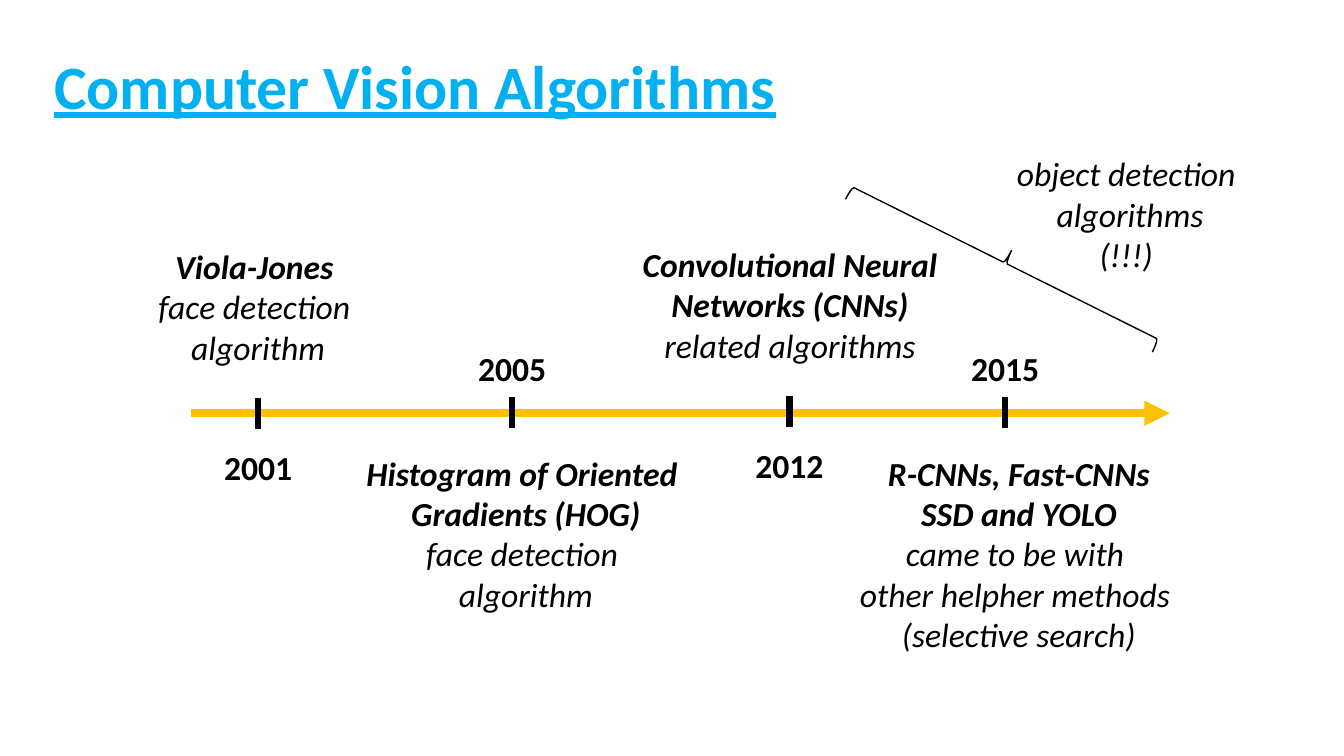
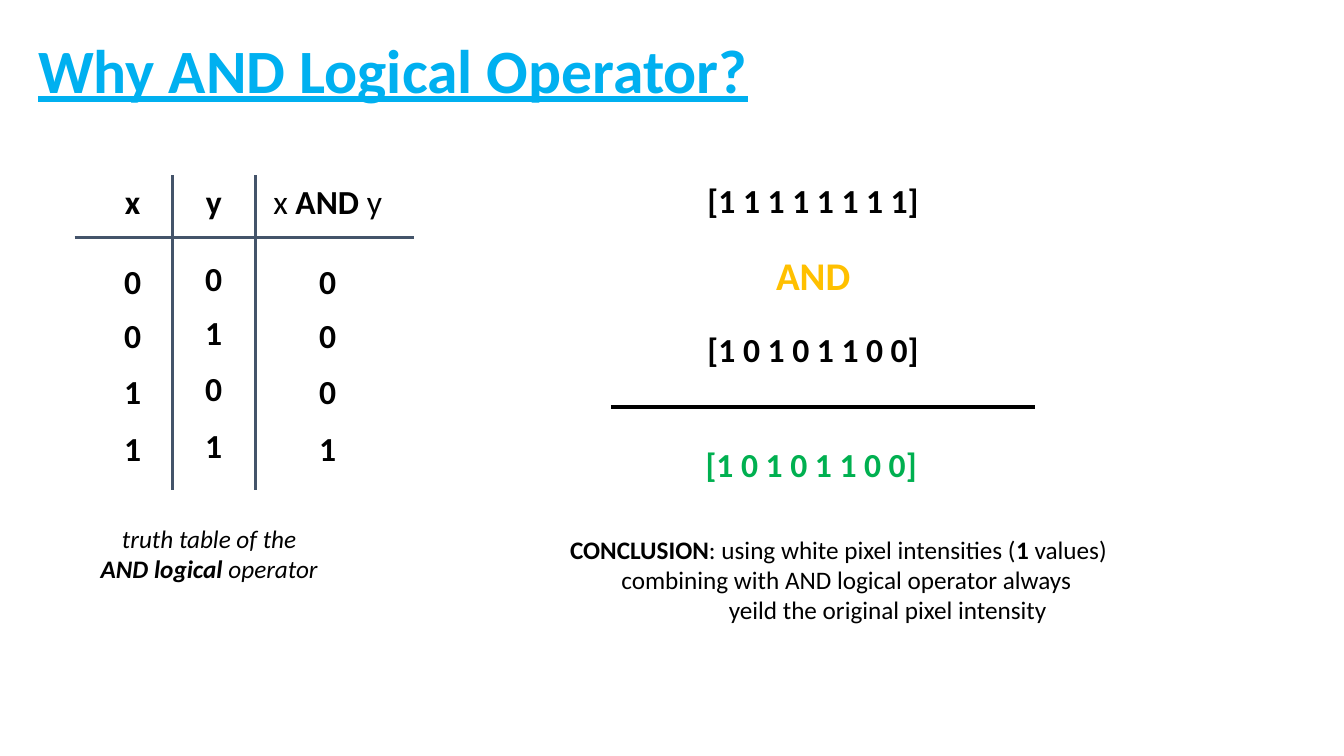
from collections.abc import Sequence
from dataclasses import dataclass, replace

from lxml.etree import SubElement
from pptx import Presentation
from pptx.dml.color import RGBColor
from pptx.enum.shapes import MSO_CONNECTOR, MSO_SHAPE
from pptx.enum.text import MSO_ANCHOR, MSO_AUTO_SIZE, PP_ALIGN
from pptx.oxml.ns import qn
from pptx.shapes.connector import Connector
from pptx.slide import Slide
from pptx.table import _Cell
from pptx.text.text import TextFrame, _Paragraph
from pptx.util import Emu, Pt

# Shared style
PX = 9144  # 100 px to the inch
FONT = "Calibri"
BLACK = RGBColor(0x00, 0x00, 0x00)
SKY = RGBColor(0x00, 0xB0, 0xF0)
AMBER = RGBColor(0xFF, 0xC0, 0x00)
GREEN = RGBColor(0x00, 0xB0, 0x50)
SLATE = RGBColor(0x44, 0x54, 0x6A)


@dataclass(frozen=True)
class Span:
    text: str
    bold: bool = False
    italic: bool = False
    size: int = 24
    color: RGBColor = BLACK
    underline: bool = False


@dataclass(frozen=True)
class Line:
    spans: tuple[Span, ...]
    indent: int = 0
    space_before: int = 0


@dataclass(frozen=True)
class Box:
    left: int
    top: int
    width: int
    height: int

    def emu(self) -> tuple[Emu, Emu, Emu, Emu]:
        return px(self.left), px(self.top), px(self.width), px(self.height)


@dataclass(frozen=True)
class Milestone:
    year: str
    x: int
    year_above: bool
    names: tuple[str, ...]
    details: tuple[str, ...]
    center: int
    width: int
    shift: int = 0


def px(length: int) -> Emu:
    return Emu(length * PX)


def line(text: str, **style) -> Line:
    return Line((Span(text, **style),))


# Drawing helpers
def fill_paragraph(paragraph: _Paragraph, content: Line) -> None:
    paragraph.alignment = PP_ALIGN.CENTER
    if content.indent:
        paragraph._p.get_or_add_pPr().set("marL", str(px(content.indent)))
    if content.space_before:
        paragraph.space_before = Pt(content.space_before)
    for span in content.spans:
        run = paragraph.add_run()
        run.text = span.text
        font = run.font
        font.name, font.size = FONT, Pt(span.size)
        font.bold, font.italic, font.underline = span.bold, span.italic, span.underline
        font.color.rgb = span.color


def add_text(slide: Slide, box: Box, lines: Sequence[Line]) -> TextFrame:
    frame = slide.shapes.add_textbox(*box.emu()).text_frame
    frame.word_wrap = False
    frame.auto_size = MSO_AUTO_SIZE.SHAPE_TO_FIT_TEXT
    for index, content in enumerate(lines):
        paragraph = frame.add_paragraph() if index else frame.paragraphs[0]
        fill_paragraph(paragraph, content)
    return frame


def add_title(slide: Slide, text: str, left: int, top: int) -> None:
    title = line(text, bold=True, size=44, color=SKY, underline=True)
    frame = add_text(slide, Box(left, top, 1150, 145), [title])
    frame.auto_size = MSO_AUTO_SIZE.NONE
    frame.word_wrap = True
    frame.vertical_anchor = MSO_ANCHOR.MIDDLE
    frame.paragraphs[0].alignment = PP_ALIGN.LEFT
    frame.paragraphs[0].line_spacing = 0.9


def add_rule(slide: Slide, start: tuple[int, int], end: tuple[int, int],
             color: RGBColor, weight: float) -> Connector:
    rule = slide.shapes.add_connector(
        MSO_CONNECTOR.STRAIGHT, *map(px, start), *map(px, end))
    rule.line.color.rgb = color
    rule.line.width = Pt(weight)
    SubElement(rule._element.spPr, qn("a:effectLst"))
    return rule


# Slide 1: timeline
AXIS_Y = 410
MILESTONES = (
    Milestone("2001", 256, False, ("Viola-Jones ",),
              ("face detection ", "algorithm"), 256, 220, 1),
    Milestone("2005", 508, True, ("Histogram of Oriented ", "Gradients (HOG)"),
              ("face detection ", "algorithm"), 521, 339),
    Milestone("2012", 783, False, ("Convolutional Neural", "Networks (CNNs)"),
              ("related algorithms",), 783, 315, -1),
    Milestone("2015", 997, True, ("R-CNNs, Fast-CNNs", "SSD and YOLO"),
              ("came to be with ", "other helpher methods ", "(selective search)"),
              1010, 339),
)


def add_milestone(slide: Slide, item: Milestone) -> None:
    tick_top = AXIS_Y - 16 + item.shift
    add_rule(slide, (item.x, tick_top), (item.x, tick_top + 31), BLACK, 4.5)
    year_top, story_top = (340, 444) if item.year_above else (437, 238)
    add_text(slide, Box(item.x - 44, year_top + item.shift, 88, 50),
             [line(item.year, bold=True)])
    story = [line(name, bold=True, italic=True) for name in item.names]
    story += [line(detail, italic=True) for detail in item.details]
    add_text(slide, Box(item.center - item.width // 2, story_top + item.shift,
                        item.width, 10 + 40 * len(story)), story)


def build_timeline(slide: Slide) -> None:
    add_title(slide, "Computer Vision Algorithms", 44, 16)
    axis = add_rule(slide, (189, AXIS_Y), (1160, AXIS_Y), AMBER, 6)
    SubElement(axis.line._get_or_add_ln(), qn("a:tailEnd"), type="triangle")
    for item in MILESTONES:
        add_milestone(slide, item)

    # Brace over the object detection era
    brace = slide.shapes.add_shape(MSO_SHAPE.LEFT_BRACE, *Box(983, 91, 28, 340).emu())
    brace.rotation = 116.5
    brace.shadow.inherit = False
    brace.fill.background()
    brace.line.color.rgb = BLACK
    brace.line.width = Pt(1)
    era = ("object detection", " algorithms", "(!!!)")
    add_text(slide, Box(997, 147, 240, 131), [line(text, italic=True) for text in era])


# Slide 2: truth table and bitwise example
TABLE_LEFT, TABLE_TOP = 74, 174
COLUMN_WIDTHS = (97, 82, 158)
COLUMN_MARGINS = ((18, 0), (0, 0), (0, 14))
COLUMN_DROPS = (3, 0, 3)
ROW_HEIGHTS = (62, 70, 56, 56, 68)
HEADER = (
    line("x", bold=True),
    line("y", bold=True),
    Line((Span("x "), Span("AND ", bold=True), Span("y"))),
)


def clear_borders(cell: _Cell) -> None:
    for side in "LRTB":
        border = SubElement(cell._tc.get_or_add_tcPr(), qn(f"a:ln{side}"))
        SubElement(border, qn("a:noFill"))


def add_truth_table(slide: Slide) -> None:
    rows = [HEADER] + [
        tuple(line(str(bit), bold=True) for bit in (x, y, x & y))
        for x in (0, 1) for y in (0, 1)
    ]
    box = Box(TABLE_LEFT, TABLE_TOP, sum(COLUMN_WIDTHS), sum(ROW_HEIGHTS))
    table = slide.shapes.add_table(len(rows), len(HEADER), *box.emu()).table
    table.first_row = table.horz_banding = False
    for column, width in zip(table.columns, COLUMN_WIDTHS):
        column.width = px(width)
    for row, height in zip(table.rows, ROW_HEIGHTS):
        row.height = px(height)
    for r, contents in enumerate(rows):
        for c, content in enumerate(contents):
            cell = table.cell(r, c)
            cell.margin_left, cell.margin_right = map(px, COLUMN_MARGINS[c])
            body_top = (22 if r == 1 else 5) + COLUMN_DROPS[c]
            cell.margin_top = px(body_top if r else 7)
            cell.margin_bottom = 0
            clear_borders(cell)
            cell.fill.background()
            fill_paragraph(cell.text_frame.paragraphs[0], content)

    # Rules under the header and between the columns
    header_y = TABLE_TOP + ROW_HEIGHTS[0]
    add_rule(slide, (box.left, header_y), (box.left + box.width, header_y), SLATE, 2.25)
    x = box.left
    for width in COLUMN_WIDTHS[:-1]:
        x += width
        add_rule(slide, (x, box.top), (x, box.top + box.height), SLATE, 2.25)


def build_and_operator(slide: Slide) -> None:
    add_title(slide, "Why AND Logical Operator?", 28, 0)
    add_truth_table(slide)
    add_text(slide, Box(89, 514, 237, 71), [
        line("truth table of the", italic=True, size=18),
        Line((Span("AND logical ", bold=True, italic=True, size=18),
              Span("operator", italic=True, size=18))),
    ])

    # Bitwise example
    masked = "[1 0 1 0 1 1 0 0]"
    add_text(slide, Box(690, 174, 233, 229), [
        line("[1 1 1 1 1 1 1 1]", bold=True),
        replace(line("AND", bold=True, size=28, color=AMBER), space_before=22),
        replace(line(masked, bold=True), space_before=22),
    ])
    add_rule(slide, (606, 404), (1027, 404), BLACK, 3)
    add_text(slide, Box(689, 435, 231, 50), [line(masked, bold=True, color=GREEN)])

    # Conclusion
    add_text(slide, Box(552, 525, 559, 101), [
        Line((Span("CONCLUSION", bold=True, size=18),
              Span(": using white pixel intensities (", size=18),
              Span("1", bold=True, size=18),
              Span(" values)", size=18))),
        replace(line("combining with AND logical operator always", size=18), indent=16),
        replace(line("yeild the original pixel intensity", size=18), indent=98),
    ])


def main() -> None:
    deck = Presentation()
    deck.slide_width, deck.slide_height = px(1333), px(750)
    for build in (build_timeline, build_and_operator):
        build(deck.slides.add_slide(deck.slide_layouts[6]))
    deck.save("out.pptx")


if __name__ == "__main__":
    main()
